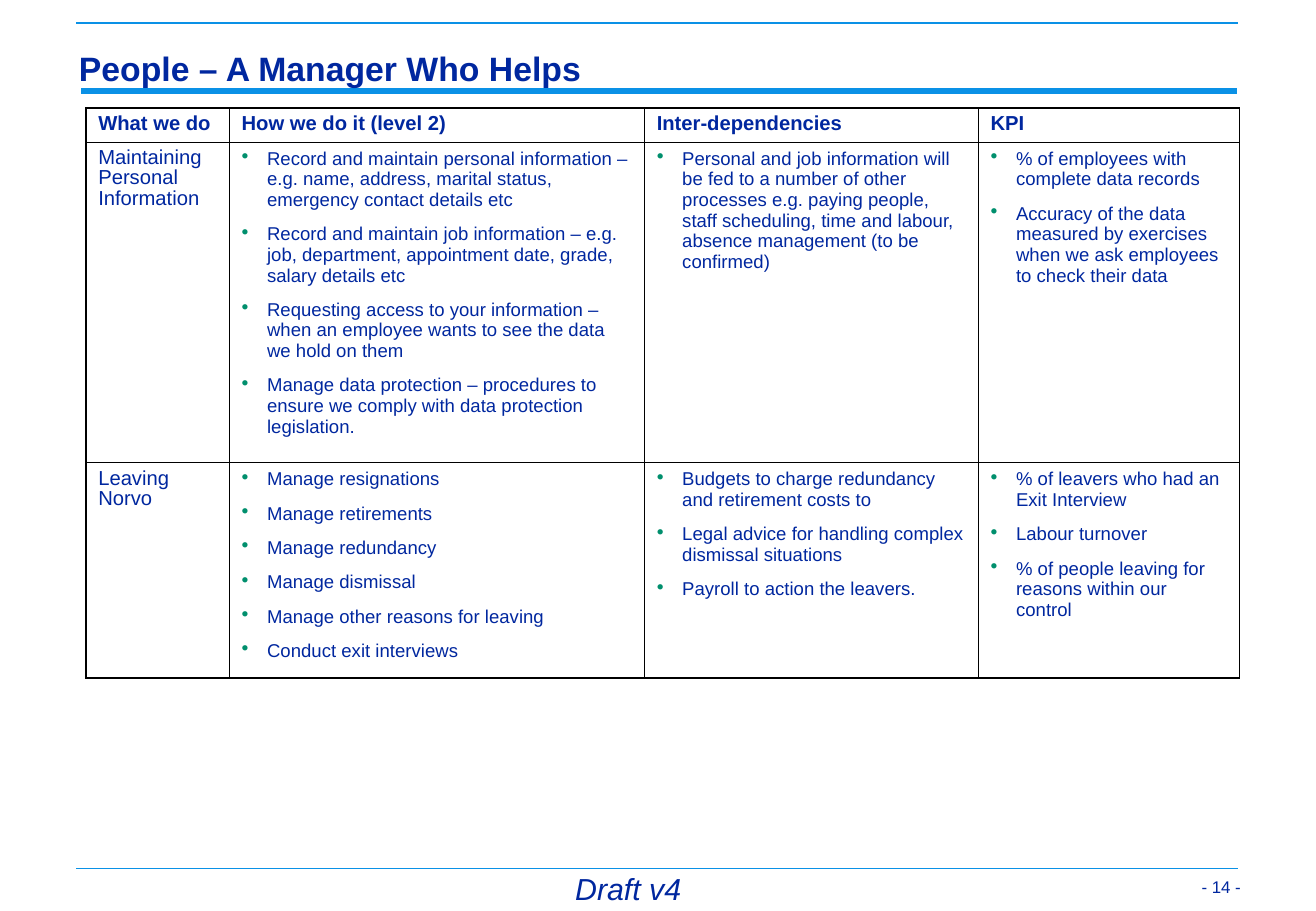
from pptx import Presentation
from pptx.dml.color import RGBColor
from pptx.enum.shapes import MSO_CONNECTOR
from pptx.enum.text import MSO_ANCHOR, PP_ALIGN
from pptx.oxml.ns import qn
from pptx.util import Inches, Pt
from lxml import etree

STRAIGHT = MSO_CONNECTOR.STRAIGHT
TOP, BOTTOM = MSO_ANCHOR.TOP, MSO_ANCHOR.BOTTOM
LEFT, CENTER, RIGHT = PP_ALIGN.LEFT, PP_ALIGN.CENTER, PP_ALIGN.RIGHT

NAVY = RGBColor(0x00, 0x27, 0x9F)
SKY = RGBColor(0x0A, 0x91, 0xE6)
GREEN = RGBColor(0x00, 0x8F, 0x6D)
BLACK = RGBColor(0x00, 0x00, 0x00)
FONT = "Arial"

# The page is a grid of 100 columns by 100 rows.
PAGE_WIDTH, PAGE_HEIGHT = Inches(10.84), Inches(7.5)
COLUMN, ROW = PAGE_WIDTH / 100, PAGE_HEIGHT / 100

OUTER_BORDER, INNER_BORDER = Pt(1.08), Pt(0.45)
BULLET_INDENT = Inches(0.21)

TABLE_LEFT, TABLE_TOP = 6.55, 11.87
TABLE_COLUMNS = [10.89, 31.55, 25.37, 19.83]
TABLE_ROWS = [3.73, 35.2, 23.6]
HEADINGS = ["What we do", "How we do it (level 2)", "Inter-dependencies", "KPI"]
ACTIVITIES = [
    ("Maintaining Personal Information", [
        ["Record and maintain personal information – e.g. name, address, "
         "marital status, emergency contact details etc",
         "Record and maintain job information – e.g. job, department, "
         "appointment date, grade, salary details etc",
         "Requesting access to your information – when an employee wants "
         "to see the data we hold on them",
         "Manage data protection – procedures to ensure we comply with "
         "data protection legislation."],
        ["Personal and job information will be fed to a number of other "
         "processes e.g. paying people, staff scheduling, time and labour, "
         "absence management (to be confirmed)"],
        ["% of employees with complete data records",
         "Accuracy of the data measured by exercises when we ask employees "
         "to check their data"],
    ]),
    ("Leaving Norvo", [
        ["Manage resignations", "Manage retirements", "Manage redundancy",
         "Manage dismissal", "Manage other reasons for leaving",
         "Conduct exit interviews"],
        ["Budgets to charge redundancy and retirement costs to",
         "Legal advice for handling complex dismissal situations",
         "Payroll to action the leavers."],
        ["% of leavers who had an Exit Interview", "Labour turnover",
         "% of people leaving for reasons within our control"],
    ]),
]


def across(columns):
    return round(columns * COLUMN)


def down(rows):
    return round(rows * ROW)


def style_text(paragraph, size, bold=False, italic=False):
    font = paragraph.font
    font.name, font.size = FONT, Pt(size)
    font.bold, font.italic = bold, italic
    font.color.rgb = NAVY


def add_rule(page, start, end, row, weight):
    """Draw a horizontal line between two grid columns."""
    rule = page.shapes.add_connector(
        STRAIGHT, across(start), down(row), across(end), down(row))
    rule.line.color.rgb = SKY
    rule.line.width = Pt(weight)
    etree.SubElement(rule._element.spPr, qn("a:effectLst"))


def add_label(page, text, area, size, align=LEFT, anchor=TOP,
              margins=(0.1, 0.05), spacing=1.0, **style):
    left, top, width, height = area
    box = page.shapes.add_textbox(
        across(left), down(top), across(width), down(height))
    frame = box.text_frame
    frame.word_wrap = True
    frame.vertical_anchor = anchor
    frame.margin_left = frame.margin_right = Inches(margins[0])
    frame.margin_top = frame.margin_bottom = Inches(margins[1])
    para = frame.paragraphs[0]
    para.text = text
    para.alignment = align
    para.line_spacing = spacing
    style_text(para, size, **style)


def add_bullet(paragraph):
    properties = paragraph._p.get_or_add_pPr()
    properties.set("marL", str(BULLET_INDENT))
    properties.set("indent", str(-BULLET_INDENT))
    color = etree.SubElement(properties, qn("a:buClr"))
    etree.SubElement(color, qn("a:srgbClr"), val=str(GREEN))
    etree.SubElement(properties, qn("a:buSzPct"), val="110000")
    etree.SubElement(properties, qn("a:buChar"), char="•")


def fill_heading(cell, text, bold):
    para = cell.text_frame.paragraphs[0]
    para.text = text
    para.line_spacing = 0.9
    style_text(para, 12, bold=bold)


def fill_bullets(cell, items):
    frame = cell.text_frame
    for index, item in enumerate(items):
        para = frame.add_paragraph() if index else frame.paragraphs[0]
        para.text = item
        add_bullet(para)
        para.space_before = Pt(7.5 if index else 0)
        para.space_after = Pt(0.6)
        style_text(para, 11)


def frame_cell(cell, row, column):
    """Give the cell thin inner borders, thicker ones on the table's edge."""
    on_edge = {
        "a:lnL": column == 0,
        "a:lnR": column == len(TABLE_COLUMNS) - 1,
        "a:lnT": row == 0,
        "a:lnB": row == len(TABLE_ROWS) - 1,
    }
    properties = cell._tc.get_or_add_tcPr()
    for side, outer in on_edge.items():
        width = OUTER_BORDER if outer else INNER_BORDER
        line = etree.SubElement(properties, qn(side), w=str(width))
        fill = etree.SubElement(line, qn("a:solidFill"))
        etree.SubElement(fill, qn("a:srgbClr"), val=str(BLACK))
    cell.fill.background()


def add_activity_table(page):
    table = page.shapes.add_table(
        len(TABLE_ROWS), len(TABLE_COLUMNS), across(TABLE_LEFT), down(TABLE_TOP),
        across(sum(TABLE_COLUMNS)), down(sum(TABLE_ROWS))).table
    table.first_row = table.horz_banding = False
    for column, width in zip(table.columns, TABLE_COLUMNS):
        column.width = across(width)
    for row, height in zip(table.rows, TABLE_ROWS):
        row.height = down(height)

    for column, heading in enumerate(HEADINGS):
        fill_heading(table.cell(0, column), heading, bold=True)
    for row, (activity, lists) in enumerate(ACTIVITIES, start=1):
        fill_heading(table.cell(row, 0), activity, bold=False)
        for column, items in enumerate(lists, start=1):
            fill_bullets(table.cell(row, column), items)

    for row in range(len(TABLE_ROWS)):
        for column in range(len(TABLE_COLUMNS)):
            frame_cell(table.cell(row, column), row, column)


def main():
    deck = Presentation()
    deck.slide_width, deck.slide_height = PAGE_WIDTH, PAGE_HEIGHT
    page = deck.slides.add_slide(deck.slide_layouts[6])

    add_rule(page, 6.18, 94, 10, weight=4)
    for row in (2.53, 95.33):
        add_rule(page, 5.81, 94.1, row, weight=1)

    add_label(page, "- 14 -", (89.39, 93.6, 5.54, 5.2), 10, align=RIGHT,
              anchor=BOTTOM, margins=(0.07, 0.03))
    add_label(page, "Draft v4", (36.81, 95.33, 21.86, 4.93), 18, align=CENTER,
              spacing=0.9, italic=True)
    add_label(page, "People – A Manager Who Helps", (5.35, 4.4, 88.84, 5.87), 20,
              anchor=BOTTOM, margins=(0.07, 0.03), spacing=0.97, bold=True)
    add_activity_table(page)

    deck.save("out.pptx")


if __name__ == "__main__":
    main()
